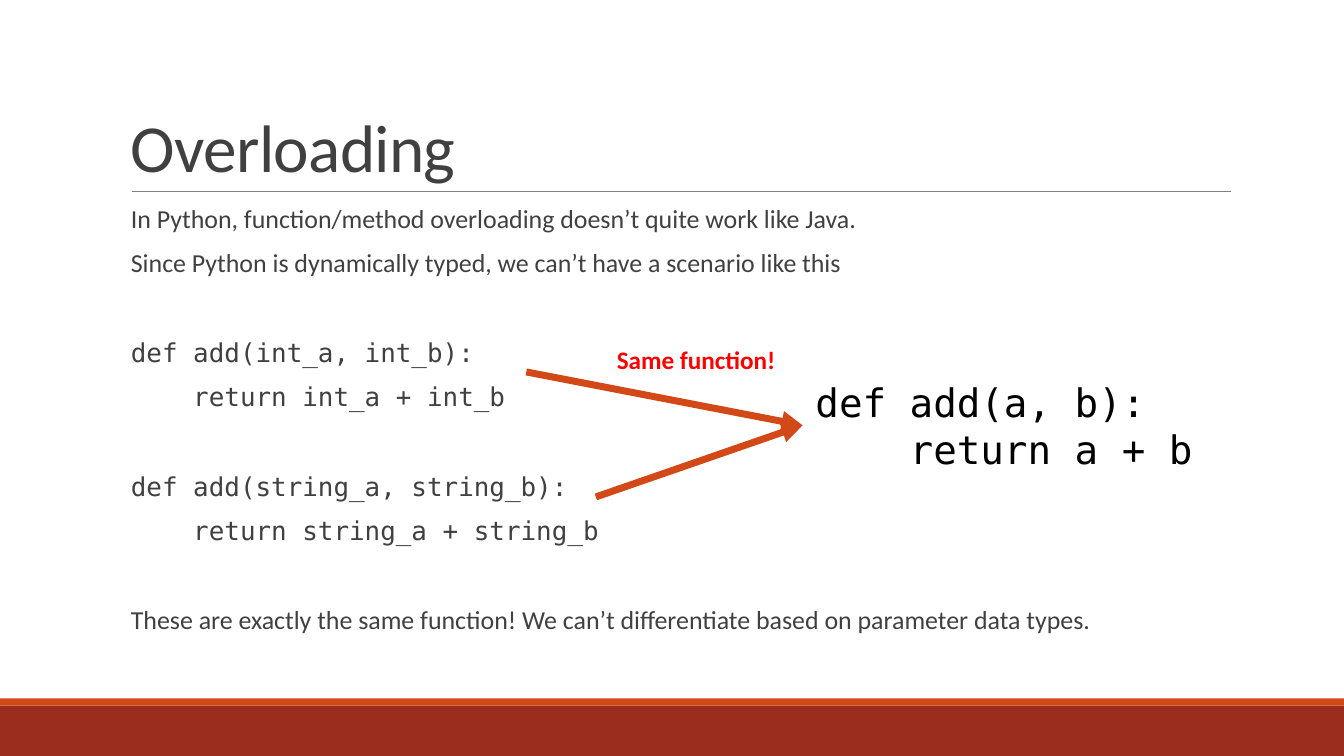
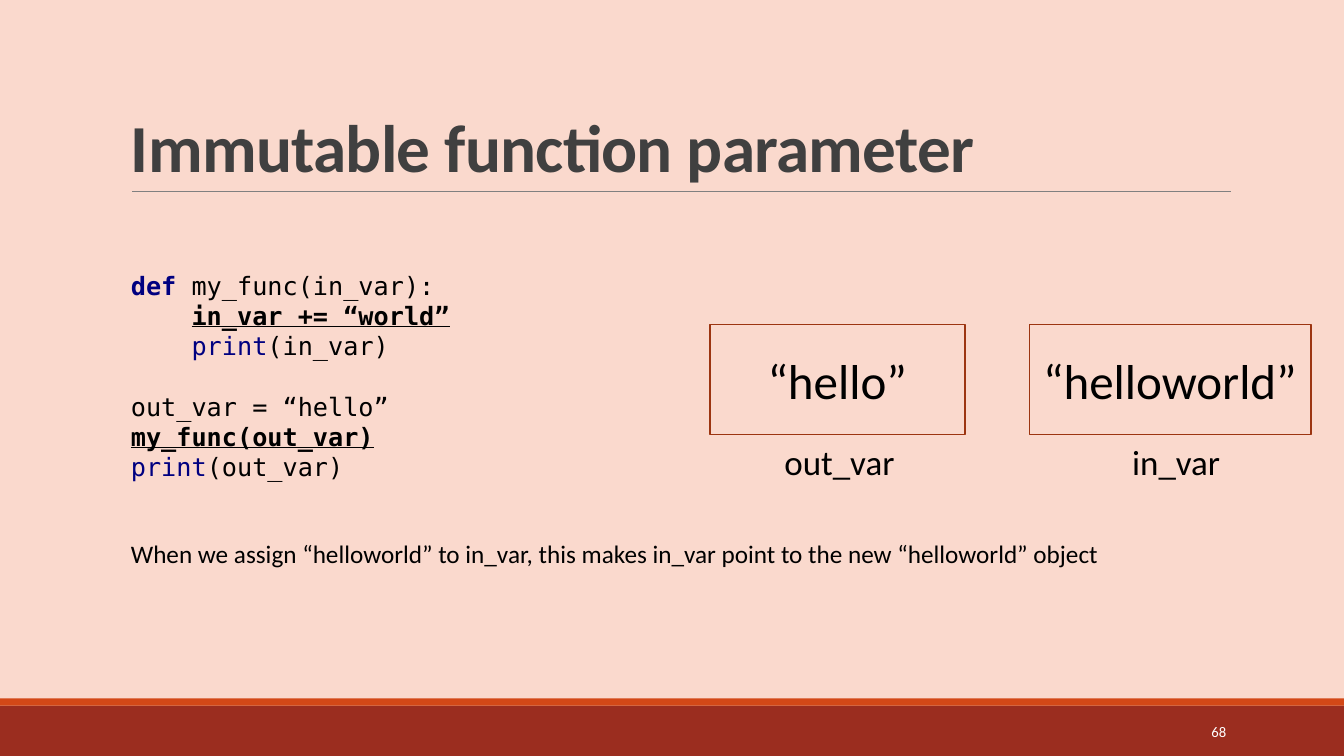
from dataclasses import dataclass

from lxml.etree import SubElement
from pptx import Presentation
from pptx.dml.color import RGBColor
from pptx.enum.shapes import MSO_CONNECTOR, MSO_SHAPE
from pptx.enum.text import MSO_ANCHOR, PP_ALIGN
from pptx.oxml.ns import qn
from pptx.util import Emu, Pt

PX = 9144  # 100 px to the inch
WIDTH, HEIGHT = 1333, 750


@dataclass(frozen=True)
class Theme:
    sans: str = "Calibri"
    mono: str = "DejaVu Sans Mono"
    white: str = "FFFFFF"
    blush: str = "FAD9CD"
    black: str = "000000"
    ink: str = "404040"
    rule: str = "808080"
    band: str = "9B2D1F"
    accent: str = "D34817"
    outline: str = "9C3511"
    alert: str = "FF0000"
    keyword: str = "000080"
    title_size: float = 48
    value_size: float = 35
    big_code_size: float = 28
    label_size: float = 25
    body_size: float = 18.5
    text_size: float = 18
    number_size: float = 10.5


THEME = Theme()

# Content: (text, is code, starts a new group)
OVERLOADING = [
    ("In Python, function/method overloading doesn’t quite work like Java.", False, False),
    ("Since Python is dynamically typed, we can’t have a scenario like this", False, False),
    ("def add(int_a, int_b):", True, True),
    ("    return int_a + int_b", True, False),
    ("def add(string_a, string_b):", True, True),
    ("    return string_a + string_b", True, False),
    ("These are exactly the same function! We can’t differentiate based on parameter data types.",
     False, True),
]
MERGED_CODE = ["def add(a, b):", "    return a + b"]
ARROW_STARTS = [(522, 369), (591, 493)]
ARROW_END = (796, 422)

# Code lines: runs of (text, role), and whether a gap comes before
PARAMETER_CODE = [
    ([("def ", "keyword"), ("my_func(in_var):", "plain")], False),
    ([("    ", "plain"), ("in_var += “world”", "active")], False),
    ([("    ", "plain"), ("print", "builtin"), ("(in_var)", "plain")], False),
    ([("out_var = “hello”", "plain")], True),
    ([("my_func(out_var)", "active")], False),
    ([("print", "builtin"), ("(out_var)", "plain")], False),
]
# Role: colour, bold, underline
ROLES = {
    "plain": (THEME.black, False, False),
    "keyword": (THEME.keyword, True, False),
    "builtin": (THEME.keyword, False, False),
    "active": (THEME.black, True, True),
}
# Variables: value, value box left and width, name, name left and width
VARIABLES = [
    ("“hello”", 704, 253, "out_var", 767, 131),
    ("“helloworld”", 1021, 279, "in_var", 1112, 109),
]
POINTING = "When we assign “helloworld” to in_var, this makes in_var point to the new “helloworld” object"


def px(*lengths):
    return [Emu(length * PX) for length in lengths]


def color(code):
    return RGBColor.from_string(code)


def set_font(font, size, ink, name=THEME.sans, bold=False):
    font.size, font.name, font.bold = Pt(size), name, bold
    font.color.rgb = color(ink)


def add_text(page, place, lines, size, ink, name=THEME.sans, bold=False,
             align=PP_ALIGN.LEFT, anchor=MSO_ANCHOR.TOP, wrap=True):
    box = page.shapes.add_textbox(*px(*place))
    frame = box.text_frame
    frame.word_wrap, frame.vertical_anchor = wrap, anchor
    frame.text = "\n".join(lines)
    for para in frame.paragraphs:
        para.alignment = align
        set_font(para.font, size, ink, name, bold)
    return frame


def add_box(page, place, fill=None, line=None):
    box = page.shapes.add_shape(MSO_SHAPE.RECTANGLE, *px(*place))
    box.shadow.inherit = False
    if fill:
        box.fill.solid()
        box.fill.fore_color.rgb = color(fill)
    else:
        box.fill.background()
    if line:
        box.line.color.rgb = color(line)
        box.line.width = Pt(1.25)
    else:
        box.line.fill.background()
    return box


def add_line(page, start, end, ink, width, arrow=False):
    line = page.shapes.add_connector(MSO_CONNECTOR.STRAIGHT, *px(*start, *end))
    line.line.color.rgb = color(ink)
    line.line.width = Pt(width)
    if arrow:
        SubElement(line.line._get_or_add_ln(), qn("a:tailEnd"), type="triangle")
    SubElement(line._element.spPr, qn("a:effectLst"))


def add_page(deck, title, background, bold=False, number=None):
    page = deck.slides.add_slide(deck.slide_layouts[6])
    page.background.fill.solid()
    page.background.fill.fore_color.rgb = color(background)
    # Bands and title rule
    add_box(page, (0, 700, WIDTH, 50), THEME.band)
    add_box(page, (0, 693, WIDTH, 7), THEME.accent)
    add_line(page, (131, 190), (1221, 190), THEME.rule, 0.5)
    # Title
    frame = add_text(page, (120, 31, 1100, 159), [title], THEME.title_size, THEME.ink,
                     bold=bold, anchor=MSO_ANCHOR.BOTTOM)
    para = frame.paragraphs[0]
    para.line_spacing = 0.85
    para.runs[0]._r.get_or_add_rPr().set("spc", "-50")
    # Page number
    if number:
        add_text(page, (1083, 706, 143, 40), [number], THEME.number_size, THEME.white,
                 align=PP_ALIGN.RIGHT, anchor=MSO_ANCHOR.MIDDLE)
    return page


def build_overloading(deck):
    page = add_page(deck, "Overloading", THEME.white)
    # Explanation and code
    frame = add_text(page, (120, 202, 1100, 440), [text for text, _, _ in OVERLOADING],
                     THEME.body_size, THEME.ink)
    for index, (para, (_, is_code, new_group)) in enumerate(zip(frame.paragraphs, OVERLOADING)):
        para.line_spacing = 0.8
        para.space_after = Pt(2)
        if index:
            para.space_before = Pt(44 if new_group else 12)
        if is_code:
            para.font.name = THEME.mono
    # Merged function
    add_text(page, (799, 370, 454, 104), MERGED_CODE, THEME.big_code_size, THEME.black, THEME.mono)
    for start in ARROW_STARTS:
        add_line(page, start, ARROW_END, THEME.accent, 5, arrow=True)
    add_text(page, (601, 337, 179, 40), ["Same function!"], THEME.text_size, THEME.alert,
             bold=True, align=PP_ALIGN.CENTER, wrap=False)


def build_parameter(deck):
    page = add_page(deck, "Immutable function parameter", THEME.blush, bold=True, number="68")
    # Code
    frame = add_text(page, (120, 262, 466, 222), [""] * len(PARAMETER_CODE),
                     THEME.text_size, THEME.black, THEME.mono, anchor=MSO_ANCHOR.MIDDLE)
    for para, (runs, gap) in zip(frame.paragraphs, PARAMETER_CODE):
        if gap:
            para.space_before = Pt(21.5)
        for text, role in runs:
            span = para.add_run()
            span.text = text
            ink, span.font.bold, span.font.underline = ROLES[role]
            span.font.color.rgb = color(ink)
    # Variables and their values
    for value, left, width, name, name_left, name_width in VARIABLES:
        box = add_box(page, (left, 322, width, 109), line=THEME.outline)
        box.text_frame.text = value
        box.text_frame.vertical_anchor = MSO_ANCHOR.MIDDLE
        para = box.text_frame.paragraphs[0]
        para.alignment = PP_ALIGN.CENTER
        set_font(para.font, THEME.value_size, THEME.black)
        add_text(page, (name_left, 432, name_width, 52), [name], THEME.label_size, THEME.black,
                 align=PP_ALIGN.CENTER, wrap=False)
    add_text(page, (120, 529, 1106, 40), [POINTING], THEME.text_size, THEME.black)


def main():
    deck = Presentation()
    deck.slide_width, deck.slide_height = px(WIDTH, HEIGHT)
    build_overloading(deck)
    build_parameter(deck)
    deck.save("out.pptx")


if __name__ == "__main__":
    main()
